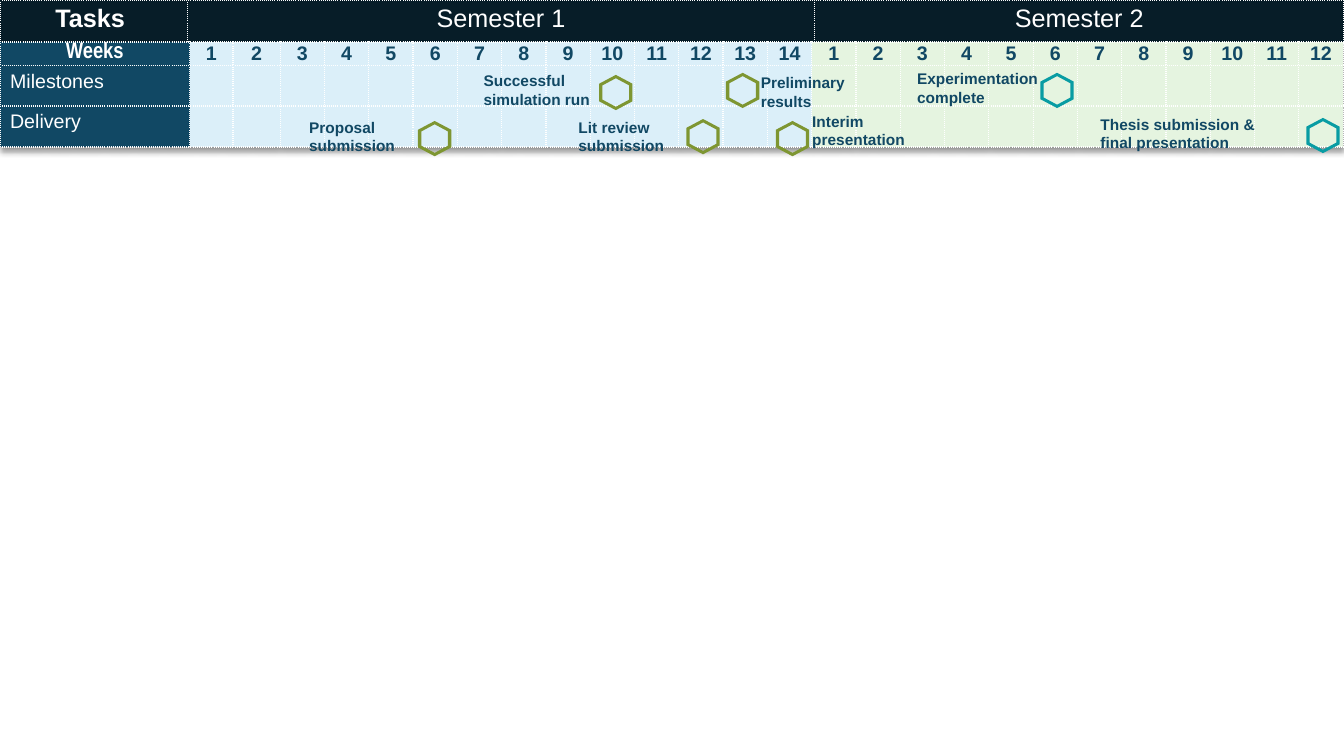
from dataclasses import dataclass

from lxml.etree import SubElement
from pptx import Presentation
from pptx.dml.color import RGBColor
from pptx.enum.text import MSO_ANCHOR as Anchor, MSO_AUTO_SIZE as AutoSize, PP_ALIGN as Align
from pptx.oxml import parse_xml
from pptx.oxml.ns import qn
from pptx.util import Pt


@dataclass(frozen=True)
class Theme:
    header: str = "071D28"
    label: str = "114864"
    semester_1: str = "DBEFF9"
    semester_2: str = "E5F4E0"
    white: str = "FFFFFF"
    olive: str = "7E9632"
    teal: str = "089CA3"
    font: str = "Arial"
    narrow_font: str = "Arial Narrow"
    header_size: float = 18
    weeks_size: float = 16
    body_size: float = 14
    note_size: float = 11


@dataclass(frozen=True)
class Milestone:
    text: str
    text_left: float
    text_top: float
    text_width: float
    marker_left: float
    marker_top: float
    color: str


THEME = Theme()
SLIDE_WIDTH, SLIDE_HEIGHT = 960, 540
HEADER_HEIGHT = 30
MARKER_WIDTH, MARKER_HEIGHT, MARKER_STROKE = 23.8, 25.2, 2.4
NOTE_HEIGHT = 33.8
ROOMY = (7.2, 3.6)
TIGHT = (0, 0)

HEADER_COLUMNS = [133.9, 448, 378.1]
FIRST_COLUMNS = [135.4, 31, 33.8]
WEEK_COLUMNS = FIRST_COLUMNS + [(SLIDE_WIDTH - sum(FIRST_COLUMNS)) / 24] * 24
WEEK_ROWS = [16.6, 28.2, 28.2]
WEEKS = [(week, THEME.semester_1) for week in range(1, 15)]
WEEKS += [(week, THEME.semester_2) for week in range(1, 13)]

MILESTONES = [
    Milestone("Thesis submission & final presentation", 779, 78.5, 143.3, 933.1, 84.2, THEME.teal),
    Milestone("Proposal submission", 213.8, 80.6, 88.6, 298.6, 86.4, THEME.olive),
    Milestone("Lit review submission", 406.1, 80.6, 88.6, 490.3, 85, THEME.olive),
    Milestone("Interim presentation", 573.1, 76.3, 110.2, 554.2, 86.4, THEME.olive),
    Milestone("Successful simulation run", 338.4, 47.5, 103.7, 428, 53.5, THEME.olive),
    Milestone("Preliminary results", 536.4, 49, 103.7, 518.6, 52, THEME.olive),
    Milestone("Experimentation complete", 648, 46.1, 103.7, 743.2, 52, THEME.teal),
]


def write_text(frame, text: str, size: float, color: str, bold: bool = False,
               font: str = THEME.font, align=Align.LEFT) -> None:
    paragraph = frame.paragraphs[0]
    paragraph.alignment = align
    run = paragraph.add_run()
    run.text = text
    for name, value in {"size": Pt(size), "bold": bold, "name": font}.items():
        setattr(run.font, name, value)
    run.font.color.rgb = RGBColor.from_string(color)


def style_cell(cell, fill: str, margins: tuple = ROOMY, anchor=Anchor.TOP) -> None:
    side, edge = (Pt(margin) for margin in margins)
    formats = {"margin_left": side, "margin_right": side, "margin_top": edge,
               "margin_bottom": edge, "vertical_anchor": anchor}
    for name, value in formats.items():
        setattr(cell, name, value)
    # Dotted borders come before the fill in the cell properties
    properties = cell._tc.get_or_add_tcPr()
    for tag in ("a:lnL", "a:lnR", "a:lnT", "a:lnB"):
        line = SubElement(properties, qn(tag), w=str(Pt(1)))
        solid = SubElement(line, qn("a:solidFill"))
        SubElement(solid, qn("a:srgbClr"), val=THEME.white)
        SubElement(line, qn("a:prstDash"), val="sysDot")
    cell.fill.solid()
    cell.fill.fore_color.rgb = RGBColor.from_string(fill)


def add_grid(slide, top: float, columns: list, rows: list):
    table = slide.shapes.add_table(len(rows), len(columns), 0, Pt(top),
                                   Pt(sum(columns)), Pt(sum(rows))).table
    table.first_row = table.horz_banding = False
    for column, width in zip(table.columns, columns):
        column.width = Pt(width)
    for row, height in zip(table.rows, rows):
        row.height = Pt(height)
    return table


def add_table_shadow(table) -> None:
    table._tbl.tblPr.insert(0, parse_xml(
        '<a:effectLst xmlns:a="http://schemas.openxmlformats.org/drawingml/2006/main">'
        f'<a:outerShdw blurRad="{Pt(4)}" dist="{Pt(3)}" dir="5400000" algn="t" rotWithShape="0">'
        '<a:srgbClr val="000000"><a:alpha val="40000"/></a:srgbClr>'
        '</a:outerShdw></a:effectLst>'))


def hexagon(left: float, top: float, inset: float) -> list:
    width, height = MARKER_WIDTH - 2 * inset, MARKER_HEIGHT - 2 * inset
    corners = [(0.5, 1), (0, 0.75), (0, 0.25), (0.5, 0), (1, 0.25), (1, 0.75)]
    return [(Pt(left + inset + x * width), Pt(top + inset + y * height)) for x, y in corners]


def add_marker(slide, milestone: Milestone) -> None:
    outer = hexagon(milestone.marker_left, milestone.marker_top, 0)
    inner = hexagon(milestone.marker_left, milestone.marker_top, MARKER_STROKE)[::-1]
    builder = slide.shapes.build_freeform(*outer[0])
    builder.add_line_segments(outer[1:], close=True)
    builder.move_to(*inner[0])
    builder.add_line_segments(inner[1:], close=True)
    shape = builder.convert_to_shape()
    shape.shadow.inherit = False
    shape.fill.solid()
    shape.fill.fore_color.rgb = RGBColor.from_string(milestone.color)
    shape.line.fill.background()


def add_note(slide, milestone: Milestone) -> None:
    box = slide.shapes.add_textbox(Pt(milestone.text_left), Pt(milestone.text_top),
                                   Pt(milestone.text_width), Pt(NOTE_HEIGHT))
    box.text_frame.word_wrap = True
    box.text_frame.auto_size = AutoSize.SHAPE_TO_FIT_TEXT
    write_text(box.text_frame, milestone.text, THEME.note_size, THEME.label, bold=True)


presentation = Presentation()
presentation.slide_width, presentation.slide_height = Pt(SLIDE_WIDTH), Pt(SLIDE_HEIGHT)
slide = presentation.slides.add_slide(presentation.slide_layouts[6])

# Semester header
header = add_grid(slide, 0, HEADER_COLUMNS, [HEADER_HEIGHT])
for index, title in enumerate(["Tasks ", "Semester 1", "Semester 2"]):
    cell = header.cell(0, index)
    style_cell(cell, THEME.header)
    write_text(cell.text_frame, title, THEME.header_size, THEME.white,
               bold=index == 0, align=Align.CENTER)

# Week grid: row labels, then the weeks of both semesters
grid = add_grid(slide, HEADER_HEIGHT, WEEK_COLUMNS, WEEK_ROWS)
add_table_shadow(grid)
style_cell(grid.cell(0, 0), THEME.label, TIGHT)
write_text(grid.cell(0, 0).text_frame, "Weeks", THEME.weeks_size, THEME.white,
           bold=True, font=THEME.narrow_font, align=Align.CENTER)
for row, label in enumerate(["Milestones", "Delivery"], start=1):
    style_cell(grid.cell(row, 0), THEME.label)
    write_text(grid.cell(row, 0).text_frame, label, THEME.body_size, THEME.white)
for column, (week, fill) in enumerate(WEEKS, start=1):
    week_cell = grid.cell(0, column)
    style_cell(week_cell, fill, TIGHT, Anchor.MIDDLE)
    write_text(week_cell.text_frame, str(week), THEME.body_size, THEME.label,
               bold=True, align=Align.CENTER)
    for row in (1, 2):
        style_cell(grid.cell(row, column), fill)

# Milestone markers and notes
for milestone in MILESTONES:
    add_marker(slide, milestone)
    add_note(slide, milestone)

presentation.save("out.pptx")
